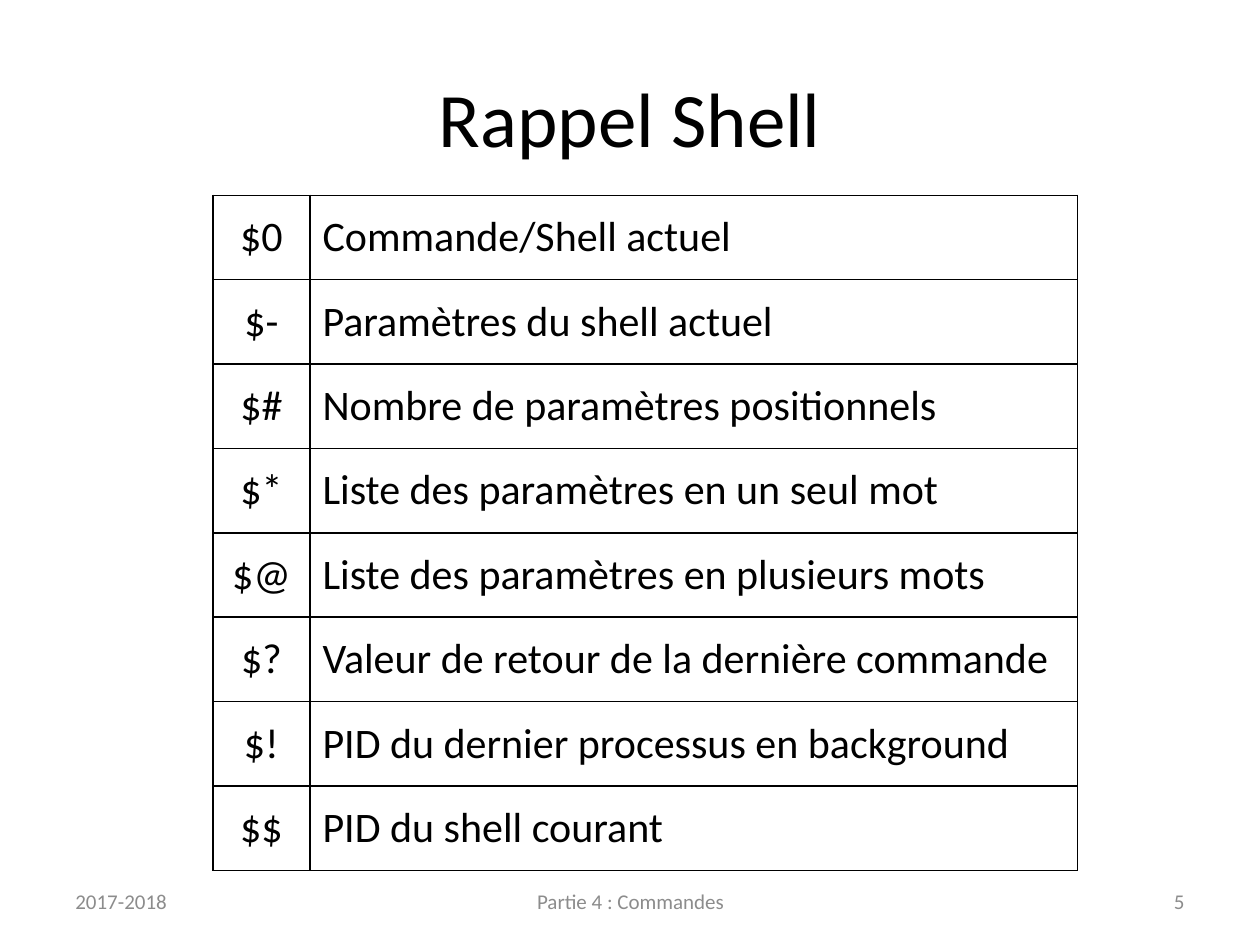
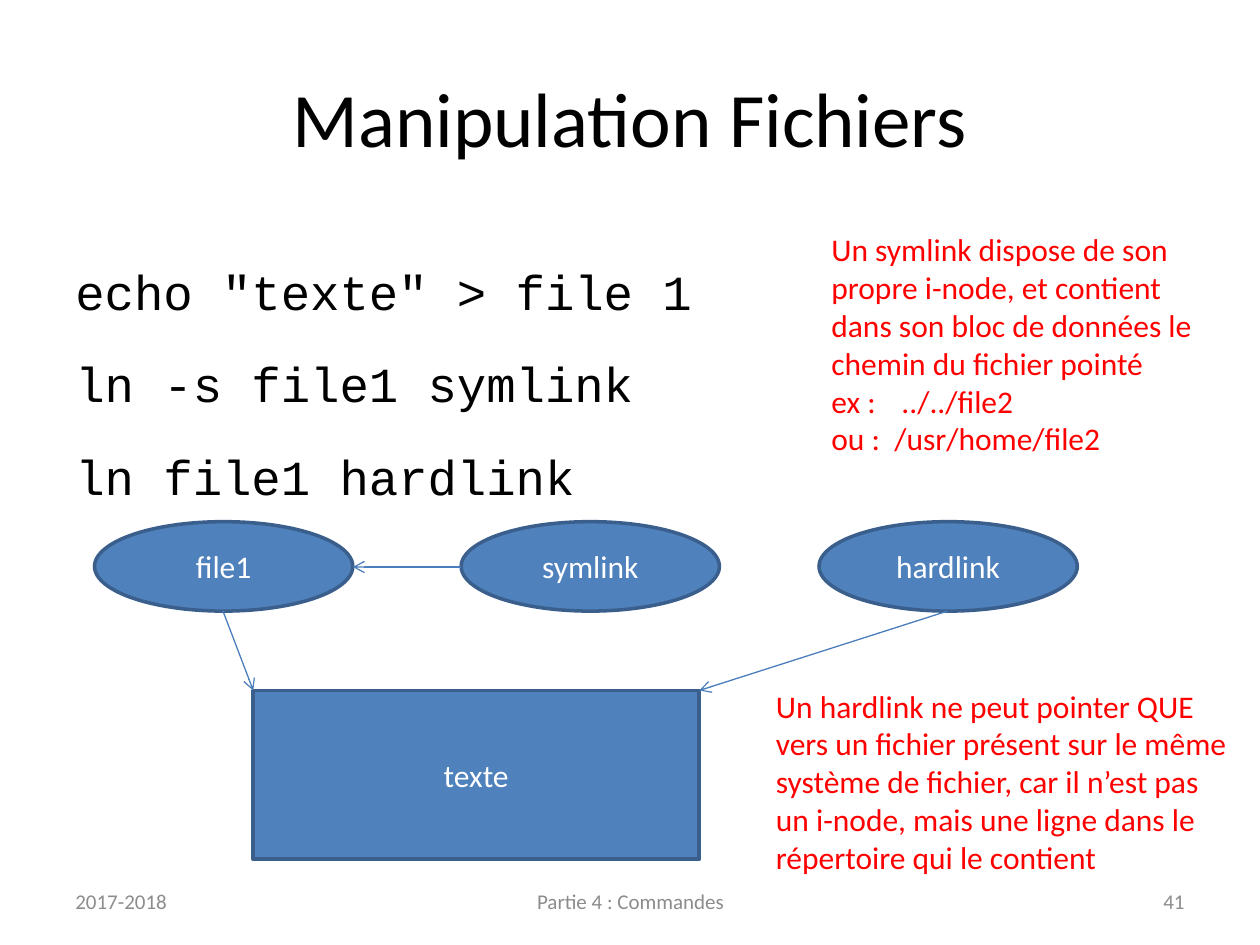
"""Builds two course slides on shell variables and file links."""
from dataclasses import dataclass
from typing import NamedTuple

from pptx import Presentation
from pptx.dml.color import RGBColor
from pptx.enum.shapes import MSO_CONNECTOR, MSO_SHAPE
from pptx.enum.text import MSO_ANCHOR, PP_ALIGN
from pptx.oxml import parse_xml
from pptx.oxml.ns import nsdecls, qn
from pptx.oxml.xmlchemy import OxmlElement
from pptx.slide import Slide
from pptx.text.text import TextFrame
from pptx.util import Inches, Pt


@dataclass(frozen=True)
class Theme:
    """Colours, fonts and type sizes of the deck."""
    ink: str = "000000"
    paper: str = "FFFFFF"
    grey: str = "8C8C8C"
    note: str = "FF0000"
    fill: str = "4F81BD"
    edge: str = "3A5F8C"
    arrow: str = "4B7EBC"
    font: str = "Calibri"
    mono: str = "Courier New"
    title: int = 44
    code: int = 28
    cell: int = 24
    body: int = 18
    foot: int = 12


class Box(NamedTuple):
    """A place on the slide, in inches."""
    left: float
    top: float
    width: float
    height: float

    def place(self) -> tuple:
        """Return the four lengths."""
        return tuple(Inches(value) for value in self)


class Node(NamedTuple):
    """A labelled shape."""
    label: str
    box: Box
    kind: MSO_SHAPE = MSO_SHAPE.OVAL


class Arrow(NamedTuple):
    """An arrow from start to end, in inches."""
    start: tuple[float, float]
    end: tuple[float, float]


class Foot(NamedTuple):
    """A footer field."""
    text: str
    left: float
    width: float
    align: PP_ALIGN


LOOK = Theme()
LEFT, MID, RIGHT = PP_ALIGN.LEFT, PP_ALIGN.CENTER, PP_ALIGN.RIGHT
HEAD = Box(0.5, 0.3, 9, 1.25)
COLS = (0.77, 6.09)
ROW = 0.67
ROWS = (
    ("$0", "Commande/Shell actuel"),
    ("$-", "Paramètres du shell actuel"),
    ("$#", "Nombre de paramètres positionnels"),
    ("$*", "Liste des paramètres en un seul mot"),
    ("$@", "Liste des paramètres en plusieurs mots"),
    ("$?", "Valeur de retour de la dernière commande"),
    ("$!", "PID du dernier processus en background"),
    ("$$", "PID du shell courant"),
)
CODE = 'echo "texte" > file 1\nln -s file1 symlink\nln file1 hardlink'
NOTES = (
    ("Un symlink dispose de son propre i-node, et contient dans son bloc de "
     "données le chemin du fichier pointé\nex :\t ../../file2\n"
     "ou :\t/usr/home/file2", Box(6.5, 1.78, 3.15, 1.92)),
    ("Un hardlink ne peut pointer QUE vers un fichier présent sur le même "
     "système de fichier, car il n’est pas un i-node, mais une ligne dans le "
     "répertoire qui le contient", Box(6.06, 5.4, 3.82, 1.62)),
)
FILES = (("file1", 0.75), ("symlink", 3.66), ("hardlink", 6.5))
NODES = (Node("texte", Box(2.01, 5.48, 3.54, 1.34), MSO_SHAPE.RECTANGLE),
         *(Node(name, Box(left, 4.14, 2.05, 0.71)) for name, left in FILES))
ARROWS = (
    Arrow((1.77, 4.85), (2.01, 5.48)),
    Arrow((3.66, 4.5), (2.8, 4.5)),
    Arrow((7.52, 4.85), (5.55, 5.48)),
)


def write(frame: TextFrame, text: str, *, size: int, color: str = LOOK.ink,
          font: str = LOOK.font, align: PP_ALIGN = LEFT,
          anchor: MSO_ANCHOR = MSO_ANCHOR.MIDDLE, space: float = 1,
          before: float = 0) -> None:
    """Fill a frame with text, one paragraph a line."""
    frame.word_wrap = True
    frame.vertical_anchor = anchor
    for spot, words in enumerate(text.split("\n")):
        para = frame.add_paragraph() if spot else frame.paragraphs[0]
        para.alignment = align
        para.line_spacing = space
        para.space_before = Pt(before)
        run = para.add_run()
        run.text = words
        run.font.size = Pt(size)
        run.font.name = font
        run.font.color.rgb = RGBColor.from_string(color)


def add_text(slide: Slide, text: str, box: Box, **format) -> None:
    """Add a text box."""
    write(slide.shapes.add_textbox(*box.place()).text_frame, text, **format)


def add_slide(deck: Presentation, title: str, number: int) -> Slide:
    """Add a slide with its title and footers."""
    slide = deck.slides.add_slide(deck.slide_layouts[5])
    head = slide.shapes.title
    head.left, head.top, head.width, head.height = HEAD.place()
    write(head.text_frame, title, size=LOOK.title, align=MID)
    for foot in (Foot("2017-2018", 0.5, 2.33, LEFT),
                 Foot("Partie 4 : Commandes", 3.42, 3.17, MID),
                 Foot(str(number), 7.17, 2.33, RIGHT)):
        add_text(slide, foot.text, Box(foot.left, 6.95, foot.width, 0.4),
                 size=LOOK.foot, color=LOOK.grey, align=foot.align)
    return slide


def add_grid(slide: Slide) -> None:
    """Add the table of shell variables."""
    box = Box(1.69, 1.55, sum(COLS), ROW * len(ROWS))
    table = slide.shapes.add_table(len(ROWS), len(COLS), *box.place()).table
    table.first_row = table.horz_banding = False
    for col, width in zip(table.columns, COLS):
        col.width = Inches(width)
    for row, words in zip(table.rows, ROWS):
        row.height = Inches(ROW)
        for cell, text, align in zip(row.cells, words, (MID, LEFT)):
            write(cell.text_frame, text, size=LOOK.cell, align=align)
            cell.vertical_anchor = MSO_ANCHOR.MIDDLE
            props = cell._tc.get_or_add_tcPr()
            for side in "LRTB":
                props.append(parse_xml(
                    f'<a:ln{side} {nsdecls("a")} w="{Pt(1)}"><a:solidFill>'
                    f'<a:srgbClr val="{LOOK.ink}"/></a:solidFill></a:ln{side}>'))
            cell.fill.background()


def add_node(slide: Slide, node: Node) -> None:
    """Add a filled shape with its label."""
    shape = slide.shapes.add_shape(node.kind, *node.box.place())
    shape.shadow.inherit = False
    shape.fill.solid()
    shape.fill.fore_color.rgb = RGBColor.from_string(LOOK.fill)
    shape.line.color.rgb = RGBColor.from_string(LOOK.edge)
    shape.line.width = Pt(2)
    write(shape.text_frame, node.label, size=LOOK.body, color=LOOK.paper,
          align=MID)


def add_arrow(slide: Slide, arrow: Arrow) -> None:
    """Add a thin line with an open head at its end."""
    ends = (Inches(value) for value in arrow.start + arrow.end)
    link = slide.shapes.add_connector(MSO_CONNECTOR.STRAIGHT, *ends)
    link.line.color.rgb = RGBColor.from_string(LOOK.arrow)
    link.line.width = Pt(0.75)
    tip = OxmlElement("a:tailEnd")
    tip.set("type", "arrow")
    props = link._element.spPr
    props.find(qn("a:ln")).append(tip)
    props.append(OxmlElement("a:effectLst"))


def main() -> None:
    """Build and save the deck."""
    deck = Presentation()
    deck.slide_width, deck.slide_height = Inches(10), Inches(7.5)
    add_grid(add_slide(deck, "Rappel Shell", 5))
    slide = add_slide(deck, "Manipulation Fichiers", 41)
    add_text(slide, CODE, Box(0.5, 1.79, 9.22, 5.19), size=LOOK.code,
             font=LOOK.mono, anchor=MSO_ANCHOR.TOP, space=1.5, before=2.4)
    for node in NODES:
        add_node(slide, node)
    for arrow in ARROWS:
        add_arrow(slide, arrow)
    for text, box in NOTES:
        add_text(slide, text, box, size=LOOK.body, color=LOOK.note,
                 anchor=MSO_ANCHOR.TOP)
    deck.save("out.pptx")


if __name__ == "__main__":
    main()
